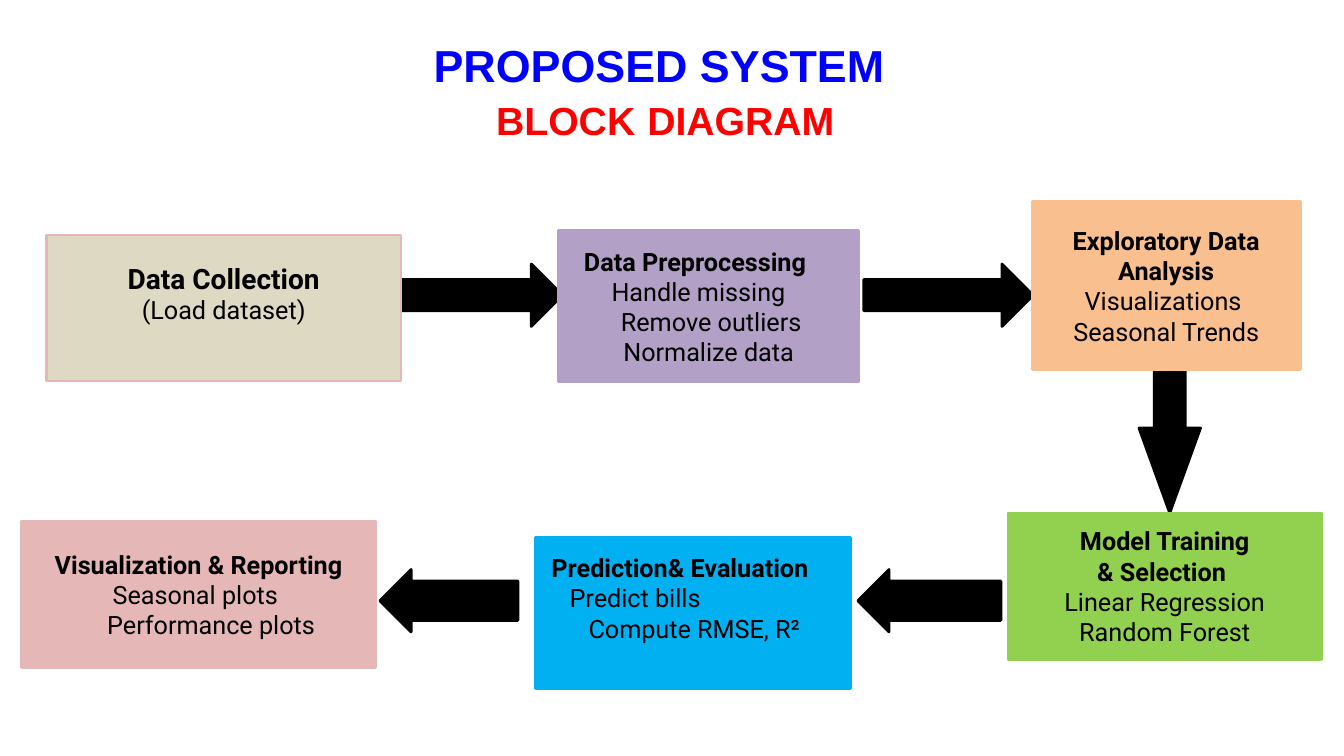
from dataclasses import dataclass

from pptx import Presentation
from pptx.dml.color import RGBColor
from pptx.enum.shapes import MSO_SHAPE
from pptx.enum.text import MSO_ANCHOR, PP_ALIGN
from pptx.util import Pt

RECTANGLE = MSO_SHAPE.RECTANGLE
RIGHT, DOWN, LEFT = MSO_SHAPE.RIGHT_ARROW, MSO_SHAPE.DOWN_ARROW, MSO_SHAPE.LEFT_ARROW
CENTER, ALIGN_LEFT = PP_ALIGN.CENTER, PP_ALIGN.LEFT
MIDDLE = MSO_ANCHOR.MIDDLE

BLACK = RGBColor(0x00, 0x00, 0x00)
BLUE = RGBColor(0x00, 0x00, 0xFF)
RED = RGBColor(0xFF, 0x00, 0x00)
SAND = RGBColor(0xDD, 0xD9, 0xC3)
PINK = RGBColor(0xE5, 0xB8, 0xB7)
PURPLE = RGBColor(0xB2, 0xA0, 0xC7)
ORANGE = RGBColor(0xFA, 0xBF, 0x8E)
GREEN = RGBColor(0x92, 0xD0, 0x50)
SKY = RGBColor(0x00, 0xB0, 0xF0)


@dataclass(frozen=True)
class Line:
    text: str
    bold: bool = False
    size: float = 18
    left: float = 0
    right: float = 0


@dataclass(frozen=True)
class Stage:
    x: float
    y: float
    width: float
    height: float
    fill: RGBColor
    outline: RGBColor
    lines: tuple[Line, ...]
    align: PP_ALIGN = CENTER
    bottom_inset: float = 3.6


@dataclass(frozen=True)
class Arrow:
    kind: MSO_SHAPE
    x: float
    y: float
    width: float
    height: float
    shaft: float = 0.5
    head: float = 0.5


ARROWS = (
    Arrow(RIGHT, 280.8, 188.6, 121, 44.6),
    Arrow(RIGHT, 617, 188.6, 121, 44.6),
    Arrow(DOWN, 813.6, 264.2, 43.9, 102.2, head=1.38),
    Arrow(LEFT, 612.7, 406.8, 102.2, 44.6, shaft=0.63),
    Arrow(LEFT, 271.4, 406.8, 98.6, 44.6, shaft=0.63),
)

STAGES = (
    Stage(33.1, 167.8, 253.4, 104.4, SAND, PINK, (
        Line("Data Collection", True, 20),
        Line("(Load dataset)"),
    ), bottom_inset=25),
    Stage(398.9, 164.9, 214.6, 108, PURPLE, PURPLE, (
        Line("Data Preprocessing", True, right=19.5),
        Line("Handle missing", right=14.5),
        Line("Remove outliers", left=3.5),
        Line("Normalize data"),
    )),
    Stage(737.3, 144, 191.5, 120.2, ORANGE, ORANGE, (
        Line("Exploratory Data Analysis", True),
        Line("Visualizations", right=4.5),
        Line("Seasonal Trends"),
    )),
    Stage(720, 366.5, 223.9, 104.4, GREEN, GREEN, (
        Line("Model Training", True),
        Line("& Selection", True, right=4.5),
        Line("Linear Regression"),
        Line("Random Forest"),
    )),
    Stage(382.3, 383.8, 225.4, 108, SKY, SKY, (
        Line("Prediction& Evaluation", True, left=4.5),
        Line("Predict bills", left=17.5),
        Line("Compute RMSE, R²", left=31),
    ), ALIGN_LEFT, 25),
    Stage(15.1, 372.2, 253.4, 104.4, PINK, PINK, (
        Line("Visualization & Reporting", True),
        Line("Seasonal plots", right=4.5),
        Line("Performance plots", left=18),
    )),
)


def write_line(frame, index: int, line: Line, font_name: str, color: RGBColor, align: PP_ALIGN):
    paragraph = frame.paragraphs[0] if index == 0 else frame.add_paragraph()
    paragraph.text = line.text
    paragraph.alignment = align
    font = paragraph.font
    font.name, font.size, font.bold = font_name, Pt(line.size), line.bold
    font.color.rgb = color
    properties = paragraph._p.get_or_add_pPr()
    properties.set("marL", str(Pt(line.left)))
    properties.set("marR", str(Pt(line.right)))
    properties.set("indent", "0")
    return paragraph


def add_block(slide, kind: MSO_SHAPE, part: Stage | Arrow, fill: RGBColor, outline: RGBColor):
    block = slide.shapes.add_shape(
        kind, Pt(part.x), Pt(part.y), Pt(part.width), Pt(part.height))
    block.shadow.inherit = False
    block.fill.solid()
    block.fill.fore_color.rgb = fill
    block.line.color.rgb = outline
    block.line.width = Pt(2)
    return block


def add_arrow(slide, arrow: Arrow) -> None:
    block = add_block(slide, arrow.kind, arrow, BLACK, BLACK)
    block.adjustments[0] = arrow.shaft
    block.adjustments[1] = arrow.head


def add_stage(slide, stage: Stage) -> None:
    frame = add_block(slide, RECTANGLE, stage, stage.fill, stage.outline).text_frame
    frame.word_wrap = True
    frame.vertical_anchor = MIDDLE
    frame.margin_bottom = Pt(stage.bottom_inset)
    for index, line in enumerate(stage.lines):
        write_line(frame, index, line, "Roboto", BLACK, stage.align)


def add_title(slide) -> None:
    frame = slide.shapes.add_textbox(Pt(308.9), Pt(21.6), Pt(324), Pt(82.8)).text_frame
    frame.word_wrap = True
    frame.margin_left = frame.margin_right = frame.margin_bottom = 0
    frame.margin_top = Pt(5)
    write_line(frame, 0, Line("PROPOSED SYSTEM", True, 32), "Arial", BLUE, CENTER)
    subtitle = Line("BLOCK\tDIAGRAM", True, 28, left=8.6)
    write_line(frame, 1, subtitle, "Arial", RED, CENTER).space_before = Pt(4)


def main() -> None:
    presentation = Presentation()
    presentation.slide_width, presentation.slide_height = Pt(960), Pt(540)
    slide = presentation.slides.add_slide(presentation.slide_layouts[6])
    add_title(slide)
    for arrow in ARROWS:
        add_arrow(slide, arrow)
    for stage in STAGES:
        add_stage(slide, stage)
    presentation.save("out.pptx")


if __name__ == "__main__":
    main()
